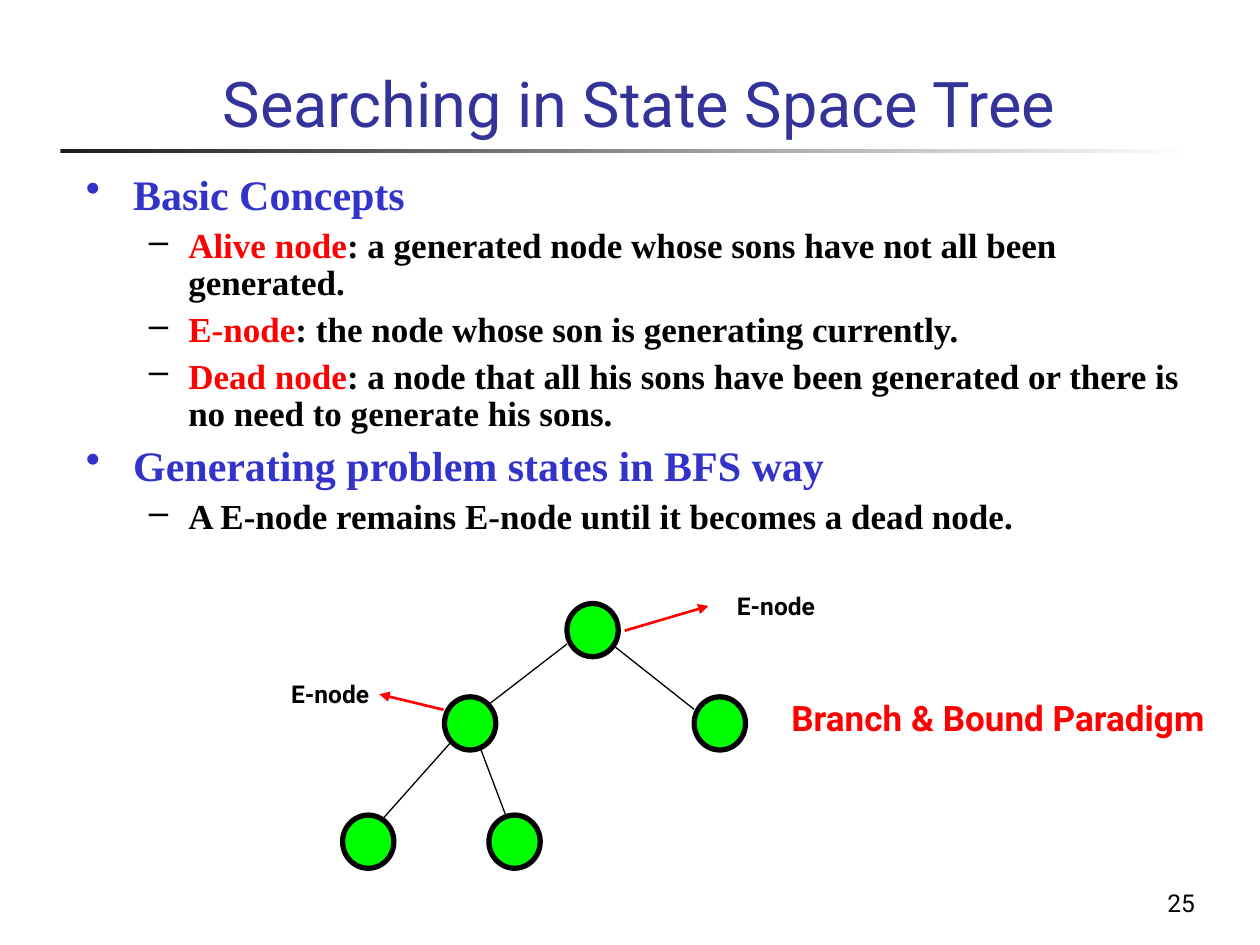
from lxml import etree
from pptx import Presentation
from pptx import util as u
from pptx.dml import color as col
from pptx.enum import shapes as sh, text as tx
from pptx.oxml import ns

Pt = u.Pt
HEX = {"title": "333399", "head": "3333CC", "red": "FF0000", "black": "000000",
       "green": "00FF00", "dark": "1C1C1C", "white": "FFFFFF"}
SANS, SERIF = "Roboto", "Times New Roman"
LEFT, MID, RIGHT = tx.PP_ALIGN.LEFT, tx.PP_ALIGN.CENTER, tx.PP_ALIGN.RIGHT
TOP, LOW = tx.MSO_ANCHOR.TOP, tx.MSO_ANCHOR.BOTTOM
PAD = (7.2, 3.6, 7.2, 3.6)

# Bullet levels: size, left indent, hanging indent, space before, mark, colour
LEVELS = [dict(size=24, left=27, hang=27, gap=6, mark="•", hue="head"),
          dict(size=20, left=58.5, hang=22.5, gap=5, mark="–", hue="black")]
# Body text: level, then runs of (text, colour)
BODY = [
    (0, [("Basic Concepts", "head")]),
    (1, [("Alive node", "red"),
         (": a generated node whose sons have not all been generated.", "black")]),
    (1, [("E-node", "red"),
         (": the node whose son is generating currently.", "black")]),
    (1, [("Dead node", "red"),
         (": a node that all his sons have been generated or there is "
          "no need to generate his sons.", "black")]),
    (0, [("Generating problem states in BFS way", "head")]),
    (1, [("A E-node remains E-node until it becomes a dead node.", "black")]),
]
# Tree: top left corner of each node, then the ends of each edge
NODES = [(324, 344.9), (396.7, 398.2), (254, 398.2), (195.8, 465.8), (279.4, 465.8)]
EDGES = [(324, 368, 280, 402), (349.4, 368, 396.7, 405.4),
         (257.8, 424, 217.4, 469.4), (274.3, 427, 288.7, 465.1)]
ARROWS = [(357, 360.4, 404.9, 346.3), (253.5, 405.6, 216.7, 396.7)]


def rgb(name):
    return col.RGBColor.from_string(HEX[name])


def style(font, size, hue, name=SANS, bold=False):
    for key, val in dict(size=Pt(size), name=name, bold=bold).items():
        setattr(font, key, val)
    font.color.rgb = rgb(hue)


def frame(box, pad=PAD, anchor=TOP, wrap=True):
    form = dict(zip(("margin_left", "margin_top", "margin_right", "margin_bottom"),
                    map(Pt, pad)))
    form.update(vertical_anchor=anchor, word_wrap=wrap, auto_size=tx.MSO_AUTO_SIZE.NONE)
    for key, val in form.items():
        setattr(box.text_frame, key, val)
    return box.text_frame


def label(slide, words, at, size, hue="black", align=MID, bold=True, **form):
    box = slide.shapes.add_textbox(*map(Pt, at))
    para = frame(box, **form).paragraphs[0]
    para.text, para.alignment = words, align
    style(para.runs[0].font, size, hue, bold=bold)


def title(slide, words):
    box = slide.shapes.title
    for key, val in dict(left=120.2, top=12.2, width=566, height=71.3).items():
        setattr(box, key, Pt(val))
    para = frame(box, anchor=LOW).paragraphs[0]
    para.text, para.alignment = words, LEFT
    style(para.runs[0].font, 36, "title")


def rule(slide):
    bar = slide.shapes.add_shape(sh.MSO_SHAPE.RECTANGLE,
                                 Pt(34.5), Pt(85), Pt(648), Pt(2.2))
    bar.shadow.inherit = False
    bar.line.fill.background()
    bar.fill.gradient()
    bar.fill.gradient_angle = 0
    for stop, hue in zip(bar.fill.gradient_stops, ("dark", "white")):
        stop.color.rgb = rgb(hue)


def bullet(para, lev):
    prop = para._p.get_or_add_pPr()
    prop.set("marL", str(Pt(lev["left"])))
    prop.set("indent", str(-Pt(lev["hang"])))
    tint = etree.SubElement(prop, ns.qn("a:buClr"))
    etree.SubElement(tint, ns.qn("a:srgbClr"), val=HEX[lev["hue"]])
    etree.SubElement(prop, ns.qn("a:buChar"), char=lev["mark"])


def body(slide):
    area = frame(slide.shapes.add_textbox(Pt(42), Pt(95.8), Pt(648), Pt(247.7)))
    for i, (depth, runs) in enumerate(BODY):
        lev = LEVELS[depth]
        para = area.add_paragraph() if i else area.paragraphs[0]
        bullet(para, lev)
        form = dict(level=depth, line_spacing=0.9, space_before=Pt(lev["gap"] if i else 0))
        for key, val in form.items():
            setattr(para, key, val)
        for words, hue in runs:
            run = para.add_run()
            run.text = words
            style(run.font, lev["size"], hue, SERIF, True)


def node(slide, left, top):
    dot = slide.shapes.add_shape(sh.MSO_SHAPE.OVAL, Pt(left), Pt(top), Pt(29.3), Pt(30.4))
    dot.shadow.inherit = False
    dot.fill.solid()
    dot.fill.fore_color.rgb = rgb("green")
    dot.line.color.rgb = rgb("black")
    dot.line.width = Pt(3)


def link(slide, ends, hue="black", width=0.75, arrow=False):
    line = slide.shapes.add_connector(sh.MSO_CONNECTOR.STRAIGHT, *map(Pt, ends))
    line.line.color.rgb = rgb(hue)
    line.line.width = Pt(width)
    if arrow:
        etree.SubElement(line.line._get_or_add_ln(), ns.qn("a:tailEnd"), type="triangle")
    etree.SubElement(line._element.spPr, ns.qn("a:effectLst"))


def main():
    deck = Presentation()
    deck.slide_width, deck.slide_height = Pt(720), Pt(540)
    slide = deck.slides.add_slide(deck.slide_layouts[5])

    # Heading and bullets
    rule(slide)
    title(slide, "Searching in State Space Tree")
    body(slide)

    # State space tree
    for spot in NODES:
        node(slide, *spot)
    for ends in EDGES:
        link(slide, ends)
    for ends in ARROWS:
        link(slide, ends, "red", 1.5, True)

    # Labels and page number
    label(slide, "E-node", (411, 337.5, 72, 21), 14, pad=(0, 0, 7.2, 3.6))
    label(slide, "E-node", (139, 388, 72, 21), 14, align=RIGHT, pad=(0, 0, 0, 3.6))
    label(slide, "Branch & Bound Paradigm", (431.3, 394.6, 278, 31.7), 20, "red",
          wrap=False)
    label(slide, "25", (540, 491.8, 150, 36), 14, align=RIGHT, bold=False, anchor=LOW)
    deck.save("out.pptx")


if __name__ == "__main__":
    main()
